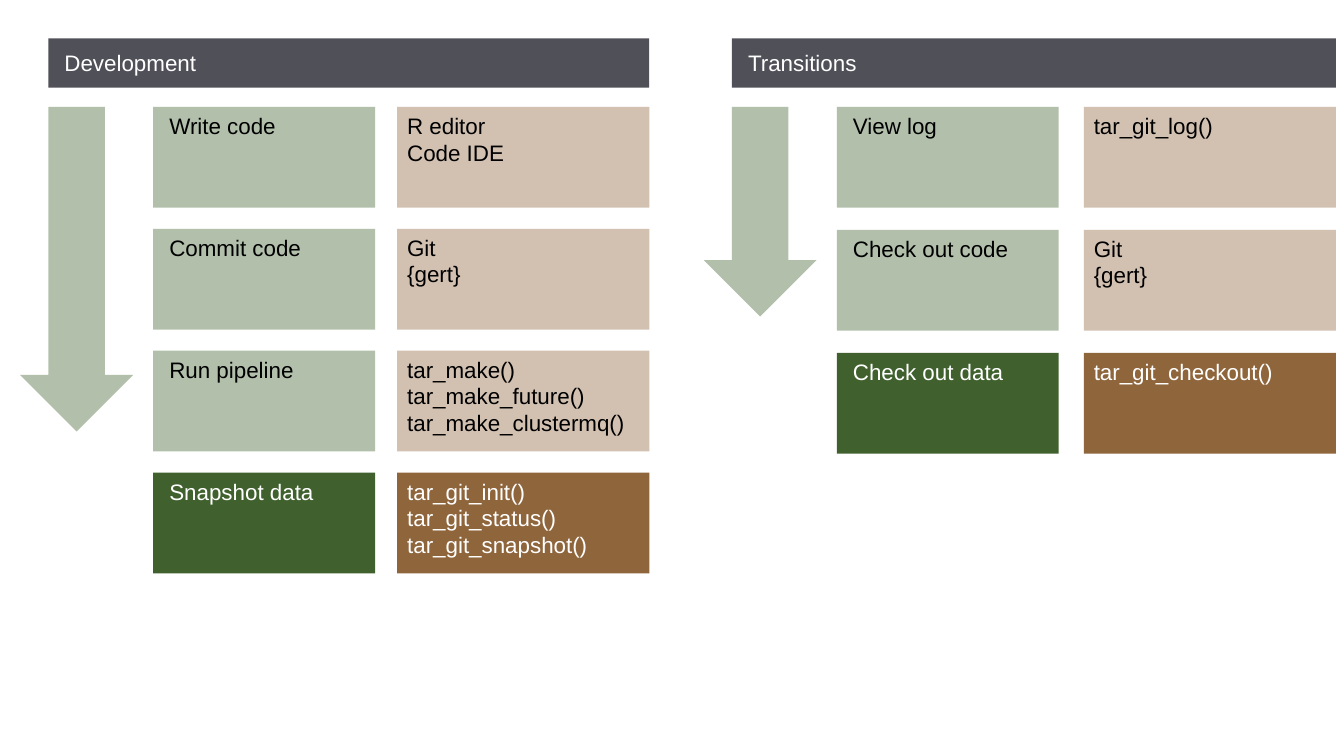
from dataclasses import dataclass

from lxml import etree
from pptx import Presentation
from pptx import util as u
from pptx.dml.color import RGBColor
from pptx.enum import shapes, text
from pptx.oxml.ns import qn


@dataclass(frozen=True)
class Theme:
    font: str = "Arial"
    size: int = 16
    header: str = "505059"
    step: str = "40612E"
    tool: str = "8F653C"
    light: str = "FFFFFF"
    dark: str = "000000"
    faded: int = 40  # opacity in percent


@dataclass(frozen=True)
class Box:
    """Area of a panel in inches."""
    left: float
    top: float
    width: float


THEME = Theme()
HEADER_H = 0.49
HEADER_INDENT = 0.28
ROWS_TOP = 0.68
ROW_H = 1
STEP_LEFT, STEP_W = 1.32, 2.2
TOOL_W = 2.5
ARROW_W = 1.12
INSET, LABEL_INSET = 0.1, 0.16

DEVELOPMENT = [
    ("Write code", ["R editor", "Code IDE"]),
    ("Commit code", ["Git", "{gert}"]),
    ("Run pipeline", ["tar_make()", "tar_make_future()", "tar_make_clustermq()"]),
    ("Snapshot data", ["tar_git_init()", "tar_git_status()", "tar_git_snapshot()"]),
]
TRANSITIONS = [
    ("View log", ["tar_git_log()"]),
    ("Check out code", ["Git", "{gert}"]),
    ("Check out data", ["tar_git_checkout()"]),
]


def add_block(s, kind, area, color, faded=False):
    sp = s.shapes.add_shape(kind, *(u.Inches(v) for v in area))
    sp.shadow.inherit = False
    sp.line.fill.background()
    sp.fill.solid()
    sp.fill.fore_color.rgb = RGBColor.from_string(color)
    if faded:
        clr = sp._element.spPr.find(qn("a:solidFill"))[0]
        etree.SubElement(clr, qn("a:alpha"), val=str(THEME.faded * 1000))
    return sp


def add_card(s, area, color, lines, inset, faded=False, anchor=text.MSO_ANCHOR.TOP):
    sp = add_block(s, shapes.MSO_SHAPE.RECTANGLE, area, color, faded)
    tf = sp.text_frame
    tf.word_wrap = True
    tf.vertical_anchor = anchor
    tf.margin_left = u.Inches(inset)
    for i, line in enumerate(lines):
        p = tf.paragraphs[0] if i == 0 else tf.add_paragraph()
        p.alignment = text.PP_ALIGN.LEFT
        r = p.add_run()
        r.text = line
        r.font.name = THEME.font
        r.font.size = u.Pt(THEME.size)
        ink = THEME.dark if faded else THEME.light
        r.font.color.rgb = RGBColor.from_string(ink)


def add_panel(s, box, title, rows, row_pitch, arrow_h):
    """Header, down arrow and rows of step and tool; the last row is highlighted."""
    header = (box.left + HEADER_INDENT, box.top, box.width - HEADER_INDENT, HEADER_H)
    add_card(s, header, THEME.header, [title], LABEL_INSET,
             anchor=text.MSO_ANCHOR.MIDDLE)

    top = box.top + ROWS_TOP
    add_block(s, shapes.MSO_SHAPE.DOWN_ARROW,
              (box.left, top, ARROW_W, arrow_h), THEME.step, faded=True)

    tool_left = box.left + box.width - TOOL_W
    for i, (step, tools) in enumerate(rows):
        y = top + i * row_pitch
        faded = i < len(rows) - 1
        add_card(s, (box.left + STEP_LEFT, y, STEP_W, ROW_H),
                 THEME.step, [step], LABEL_INSET, faded)
        add_card(s, (tool_left, y, TOOL_W, ROW_H),
                 THEME.tool, tools, INSET, faded)


def main():
    prs = Presentation()
    prs.slide_width = u.Inches(13.33)
    prs.slide_height = u.Inches(7.5)
    s = prs.slides.add_slide(prs.slide_layouts[6])
    add_panel(s, Box(0.2, 0.38, 6.24), "Development", DEVELOPMENT, 1.21, 3.22)
    add_panel(s, Box(6.98, 0.38, 6.27), "Transitions", TRANSITIONS, 1.22, 2.08)
    prs.save("out.pptx")


if __name__ == "__main__":
    main()
